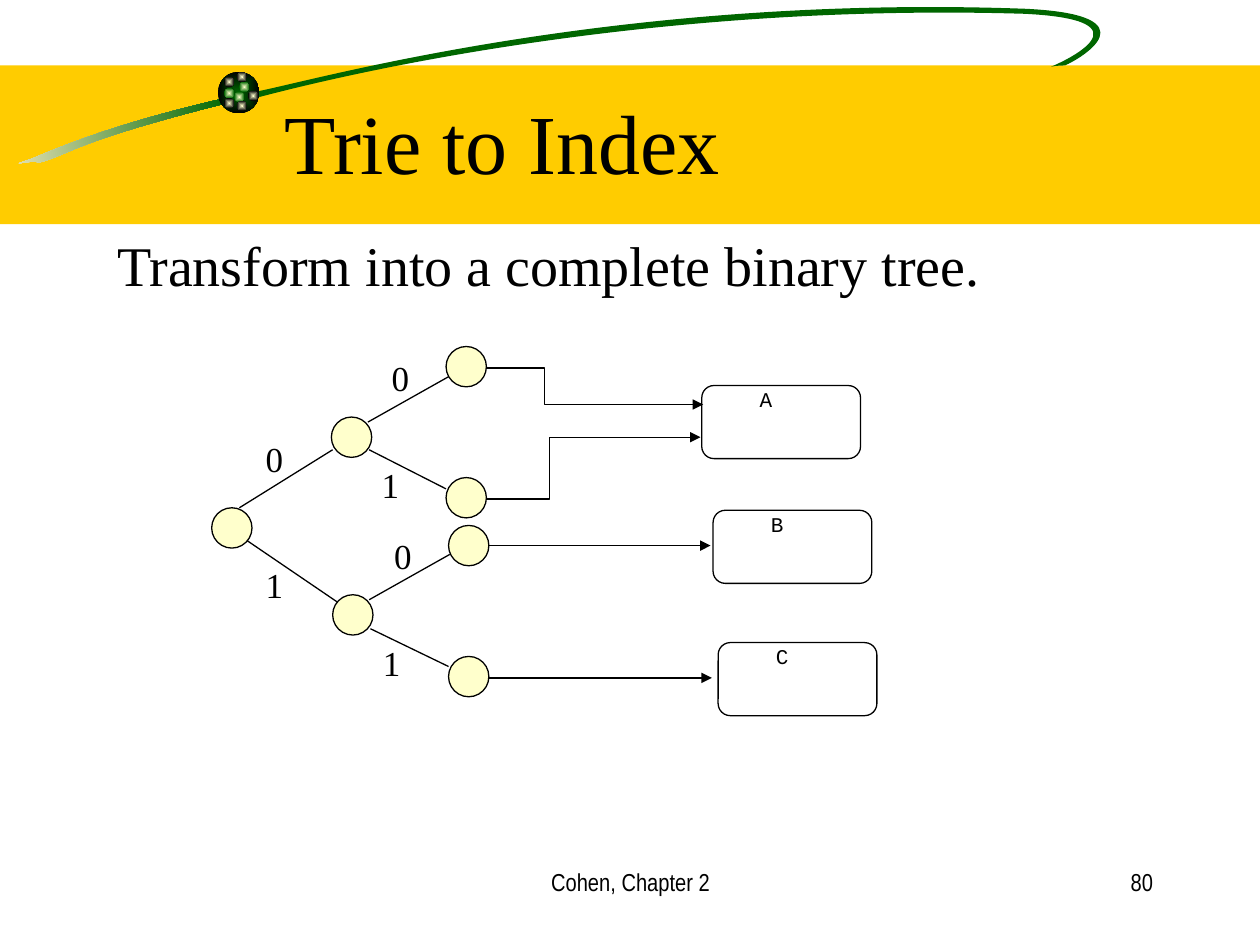
from math import cos, radians, sin

from lxml.etree import SubElement
from pptx import Presentation
from pptx.dml.color import RGBColor
from pptx.enum.shapes import MSO_CONNECTOR as Link, MSO_SHAPE as Preset
from pptx.enum.text import MSO_ANCHOR as Anchor, MSO_AUTO_SIZE as AutoSize, PP_ALIGN as Align
from pptx.oxml.ns import qn
from pptx.util import Inches, Pt

GREEN, CREAM, BLACK = "006600", "FFFFCC", "000000"
SERIF, MONO, NARROW = "Times New Roman", "Courier New", "Arial Narrow"


def color(value):
    return RGBColor.from_string(value)


def write(box, text, at, size, font=SERIF, align=Align.LEFT):
    """Place a box and fill it with one formatted, unbulleted paragraph."""
    box.left, box.top, box.width, box.height = [Inches(length) for length in at]
    frame = box.text_frame
    frame.word_wrap = True
    frame.auto_size = AutoSize.NONE
    frame.vertical_anchor = Anchor.TOP
    para = frame.paragraphs[0]
    para.alignment = align
    para.space_before = Pt(0)
    properties = para._p.get_or_add_pPr()
    properties.set("marL", "0")
    properties.set("indent", "0")
    SubElement(properties, qn("a:buNone"))
    span = para.add_run()
    span.text = text
    span.font.size = Pt(size)
    span.font.name = font
    span.font.color.rgb = color(BLACK)


deck = Presentation()
deck.slide_width, deck.slide_height = Inches(10), Inches(7.5)
page = deck.slides.add_slide(deck.slide_layouts[1])
shapes = page.shapes
title, body = shapes.title, page.placeholders[1]

# Title band, and the translucent column under it
for at, shade, opacity in [((0, 0.52, 10, 1.26), "FFCC00", 100), ((0.74, 2.06, 1.22, 5.44), "FFFFFF", 50)]:
    panel = shapes.add_shape(Preset.RECTANGLE, *[Inches(length) for length in at])
    panel.shadow.inherit = False
    panel.fill.solid()
    panel.fill.fore_color.rgb = color(shade)
    panel.line.fill.background()
    if opacity < 100:
        tint = panel.element.spPr.find(qn("a:solidFill"))[0]
        SubElement(tint, qn("a:alpha"), {"val": str(opacity * 1000)})

# Swoosh: a start point, then two controls and an end for each curve
TILT = -8.5
tail_points = [
    (1.78, 0.78),
    (0.91, 0.98), (0.49, 1.16), (0.25, 1.26),
    (0.01, 1.34), (0.26, 1.26), (0.31, 1.29),
    (0.57, 1.22), (0.57, 1.13), (1.79, 0.82),
    (1.79, 0.82), (1.78, 0.78), (1.78, 0.78),
]
loop_points = [
    (2.02, 0.73),
    (2.46, 0.65), (4.86, -0.05), (8.14, 0.07),
    (9.17, 0.12), (8.57, 0.47), (8.45, 0.52),
    (8.45, 0.52), (8.38, 0.52), (8.34, 0.53),
    (8.44, 0.49), (9.16, 0.16), (8.13, 0.11),
    (5.48, 0.03), (3.2, 0.47), (2.06, 0.77),
    (2.06, 0.77), (2.02, 0.73), (2.02, 0.73),
]
for points, (pivot_x, pivot_y), faded in [(tail_points, (0.89, 1.06), True), (loop_points, (5.59, 0.4), False)]:
    # Level the points about the pivot; the shape's rotation tilts them back
    c, s = cos(radians(-TILT)), sin(radians(-TILT))
    level = []
    for x, y in points:
        dx, dy = x - pivot_x, y - pivot_y
        level.append((Inches(pivot_x + dx * c - dy * s), Inches(pivot_y + dx * s + dy * c)))
    builder = shapes.build_freeform(*level[0])
    builder.add_line_segments(level[1:], close=True)
    swoosh = builder.convert_to_shape()
    swoosh.rotation = TILT
    swoosh.shadow.inherit = False
    swoosh.line.fill.background()

    outline = next(swoosh.element.iter(qn("a:path")))
    steps = outline.findall(qn("a:lnTo"))
    for first in range(0, len(steps), 3):
        curve = SubElement(outline, qn("a:cubicBezTo"))
        for step in steps[first:first + 3]:
            curve.append(step[0])
            outline.remove(step)
    outline.append(outline.find(qn("a:close")))

    if faded:
        swoosh.fill.gradient()
        swoosh.fill.gradient_angle = 0
        for stop, shade in zip(swoosh.fill.gradient_stops, ("F5EBC1", GREEN)):
            stop.color.rgb = color(shade)
    else:
        swoosh.fill.solid()
        swoosh.fill.fore_color.rgb = color(GREEN)

# Ball and its sparkles: left, top, diameter, centre colour, edge colour
sparkles = [
    (1.9, 0.65, GREEN), (1.78, 0.61, BLACK), (1.78, 0.7, GREEN), (1.86, 0.73, GREEN),
    (1.97, 0.72, BLACK), (1.88, 0.8, BLACK), (1.78, 0.78, BLACK), (1.88, 0.57, BLACK),
]
beads = [(1.73, 0.57, 0.33, GREEN, BLACK)]
beads += [(x, y, 0.08, CREAM, edge) for x, y, edge in sparkles]
for x, y, diameter, centre, edge in beads:
    bead = shapes.add_shape(Preset.OVAL, Inches(x), Inches(y), Inches(diameter), Inches(diameter))
    bead.shadow.inherit = False
    bead.line.fill.background()
    bead.fill.gradient()
    for stop, shade in zip(bead.fill.gradient_stops, (centre, edge)):
        stop.color.rgb = color(shade)
    gradient = bead.element.spPr.find(qn("a:gradFill"))
    gradient.remove(gradient.find(qn("a:lin")))
    focus = SubElement(gradient, qn("a:path"), {"path": "rect"})
    SubElement(focus, qn("a:fillToRect"), {side: "50000" for side in "ltrb"})

# Title and body come after the band so that they lie on top of it
for holder in (title, body):
    shapes.element.append(holder.element)
write(title, "Trie to Index", (2.16, 0.67, 8.35, 0.9), 48)
write(body, "Transform into a complete binary tree.", (0.83, 1.78, 8.74, 0.64), 32)

outlined, arrows = [], []

# Index entries
for name, x, y in [("A", 5.57, 3.06), ("B", 5.66, 4.05), ("C", 5.7, 5.1)]:
    entry = shapes.add_shape(Preset.ROUNDED_RECTANGLE, Inches(x), Inches(y), Inches(1.26), Inches(0.58))
    entry.fill.background()
    outlined.append(entry)
    write(shapes.add_textbox(0, 0, 0, 0), name, (x + 0.36, y - 0.04, 0.72, 0.3), 12, font=MONO)

# Trie nodes
for x, y in [(1.68, 4.03), (2.63, 3.31), (2.64, 4.72), (3.54, 2.75), (3.54, 3.79), (3.56, 4.17), (3.56, 5.21)]:
    node = shapes.add_shape(Preset.OVAL, Inches(x), Inches(y), Inches(0.32), Inches(0.32))
    node.fill.solid()
    node.fill.fore_color.rgb = color(CREAM)
    outlined.append(node)

# Branches, then straight pointers to the entries
branches = [
    (1.9, 4.03, 2.64, 3.57), (1.96, 4.29, 2.68, 4.78),
    (2.92, 3.35, 3.56, 2.99), (2.93, 3.57, 3.54, 3.88),
    (2.93, 4.76, 3.57, 4.4), (2.94, 4.99, 3.56, 5.29),
]
pointers = [(3.88, 4.33, 5.64, 4.33), (3.88, 5.38, 5.65, 5.38)]
for ends in branches + pointers:
    link = shapes.add_connector(Link.STRAIGHT, *[Inches(length) for length in ends])
    outlined.append(link)
    if ends in pointers:
        arrows.append(link)

# Bent pointers to entry A
for x1, y1, bend, x2, y2 in [(3.86, 2.92, 4.32, 5.58, 3.21), (3.86, 3.96, 4.36, 5.56, 3.47)]:
    builder = shapes.build_freeform(Inches(x1), Inches(y1))
    corners = [(bend, y1), (bend, y2), (x2, y2)]
    builder.add_line_segments([(Inches(x), Inches(y)) for x, y in corners], close=False)
    bent = builder.convert_to_shape()
    bent.fill.background()
    outlined.append(bent)
    arrows.append(bent)

for item in outlined:
    item.line.color.rgb = color(BLACK)
    item.line.width = Pt(0.75)
    if item in arrows:
        SubElement(item.element.spPr.find(qn("a:ln")), qn("a:tailEnd"), {"type": "triangle"})
    SubElement(item.element.spPr, qn("a:effectLst"))

# Branch labels
for bit, x, y in [
    ("0", 2.01, 3.42), ("1", 2.01, 4.42), ("0", 3.01, 2.78),
    ("1", 2.93, 3.63), ("0", 3.03, 4.19), ("1", 2.94, 5.04),
]:
    write(shapes.add_textbox(0, 0, 0, 0), bit, (x, y, 0.43, 0.44), 20)

# Footer
for text, x, width, align in [("Cohen, Chapter 2", 3.42, 3.17, Align.CENTER), ("80", 7.17, 2.08, Align.RIGHT)]:
    write(shapes.add_textbox(0, 0, 0, 0), text, (x, 6.83, width, 0.5), 14, font=NARROW, align=align)

deck.save("out.pptx")
